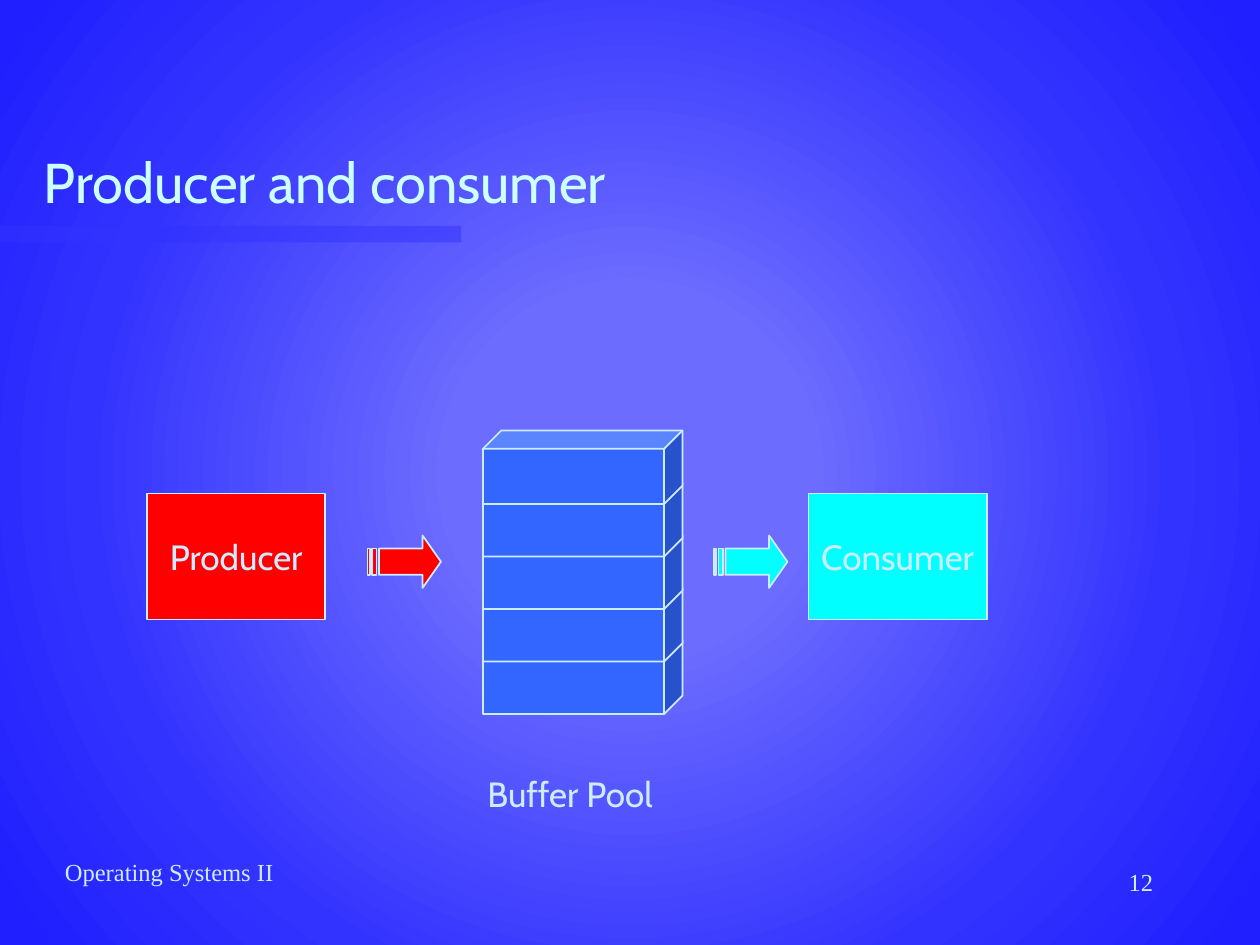
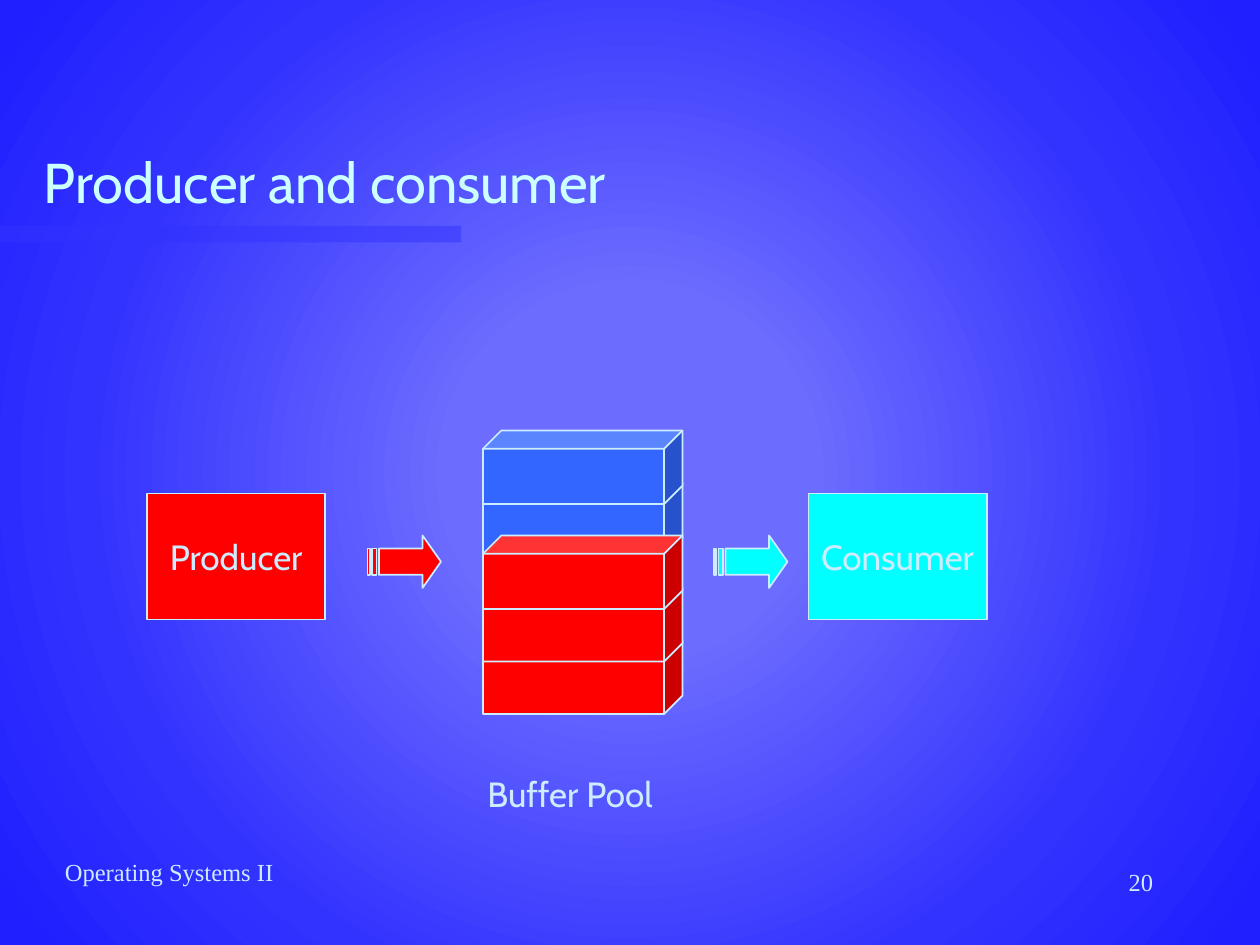
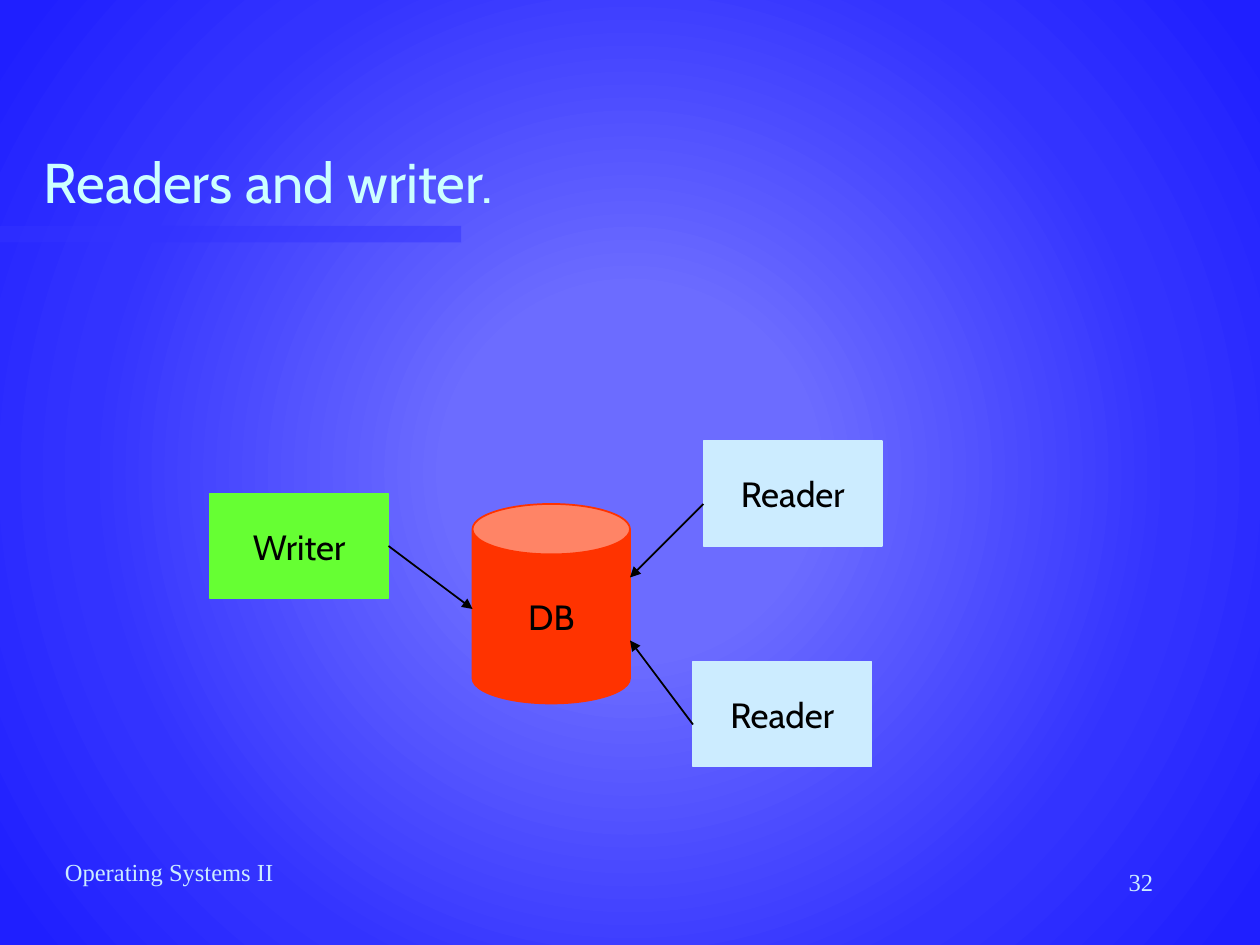
"""Build three operating-systems slides on producers, consumers, readers and a writer."""
from dataclasses import dataclass

from pptx import Presentation, oxml
from pptx.dml.color import RGBColor
from pptx.enum import shapes, text
from pptx.oxml import ns
from pptx.util import Pt


@dataclass(frozen=True)
class Theme:
    backdrop: tuple = ((0, "6C6CFF"), (23, "6C6CFF"), (69, "3333FF"), (97, "1F1FFF"), (100, "1F1FFF"))
    band: str = "3333FF"
    title: str = "CCFFFF"
    pale: str = "CCECFF"
    black: str = "000000"
    red: str = "FF0000"
    cyan: str = "00FFFF"
    blue: str = "3366FF"
    green: str = "66FF33"
    orange: str = "FF3300"
    font: str = "Cabin"
    footer_font: str = "Times New Roman"
    title_size: int = 32
    label_size: int = 20
    footer_size: int = 14


T = Theme()
SHAPE = shapes.MSO_SHAPE
ALIGN = text.PP_ALIGN
ANCHOR = text.MSO_ANCHOR

FOOTER = "Operating Systems II"
POOL_SLIDES = [
    {"title": "Producer and consumer", "number": "12", "slots": 5, "filled": 0},
    {"title": "Producer and consumer", "number": "20", "slots": 5, "filled": 3},
]
ENDS = [
    {"label": "Producer", "box": (84, 282, 102, 72), "arrow": (210, 306), "color": T.red},
    {"label": "Consumer", "box": (462, 282, 102, 72), "arrow": (408, 306), "color": T.cyan},
]
POOL_LABEL = "Buffer Pool"
SLOT = {"left": 276, "bottom_top": 366, "step": 30, "width": 114, "height": 42}

DB_SLIDE = {"title": "Readers and writer.", "number": "32"}
DB_NODES = [
    ("DB", SHAPE.CAN, (270, 288, 90, 114), T.orange),
    ("Writer", SHAPE.RECTANGLE, (120, 282, 102, 60), T.green),
    ("Reader", SHAPE.RECTANGLE, (402, 252, 102, 60), T.pale),
    ("Reader", SHAPE.RECTANGLE, (396, 378, 102, 60), T.pale),
]
WRITER = 1
WRITE_ARROW = (222, 312, 270, 348)
READ_ARROWS = [(402, 288, 360, 330), (396, 414, 360, 366)]

ARROW_SIZE = (42, 30)
ARROW_GRID = (32, 4)
ARROW_PARTS = [
    [(24, 0), (24, 1), (5, 1), (5, 3), (24, 3), (24, 4), (32, 2)],
    [(2, 1), (2, 3), (4, 3), (4, 1)],
    [(0, 1), (0, 3), (1, 3), (1, 1)],
]


def rgb(color):
    return RGBColor.from_string(color)


def pts(values):
    return [Pt(v) for v in values]


def set_backdrop(master):
    master.background.fill.gradient()
    old = master.element.find(".//" + ns.qn("a:gradFill"))
    stops = "".join(
        f'<a:gs pos="{pos * 1000}"><a:srgbClr val="{color}"/></a:gs>' for pos, color in T.backdrop
    )
    new = oxml.parse_xml(
        f'<a:gradFill rotWithShape="1" {ns.nsdecls("a")}><a:gsLst>{stops}</a:gsLst><a:path path="circle">'
        '<a:fillToRect l="50000" t="50000" r="50000" b="50000"/></a:path></a:gradFill>'
    )
    old.getparent().replace(old, new)


def write(sp, words, size, color, font=T.font, align=ALIGN.LEFT, anchor=ANCHOR.TOP, wrap=True):
    tf = sp.text_frame
    tf.word_wrap = wrap
    tf.vertical_anchor = anchor
    p = tf.paragraphs[0]
    p.text = words
    p.alignment = align
    p.font.name = font
    p.font.size = Pt(size)
    p.font.color.rgb = rgb(color)


def write_label(sp, words, color):
    write(sp, words, T.label_size, color, align=ALIGN.CENTER, anchor=ANCHOR.MIDDLE, wrap=False)


def paint(sp, fill, line):
    sp.shadow.inherit = False
    sp.fill.solid()
    sp.fill.fore_color.rgb = rgb(fill)
    sp.line.color.rgb = rgb(line)
    sp.line.width = Pt(1)


def add_shape(s, kind, box, fill, line):
    sp = s.shapes.add_shape(kind, *pts(box))
    paint(sp, fill, line)
    return sp


def add_box(s, box):
    return s.shapes.add_textbox(*pts(box))


def new_slide(prs, title, number):
    s = prs.slides.add_slide(prs.slide_layouts[6])
    band = add_shape(s, SHAPE.RECTANGLE, (0, 129, 263.5, 9.5), T.band, T.band)
    band.line.fill.background()
    color = band.fill._xPr.find(".//" + ns.qn("a:srgbClr"))
    color.append(oxml.parse_xml(f'<a:alpha {ns.nsdecls("a")} val="50000"/>'))
    write(add_box(s, (30, 486, 228, 36)), FOOTER, T.footer_size, T.pale, T.footer_font)
    write(add_box(s, (516, 492, 150, 36)), number, T.footer_size, T.pale, T.footer_font, ALIGN.RIGHT)
    write(add_box(s, (18, 36, 612, 90)), title, T.title_size, T.title, anchor=ANCHOR.BOTTOM)
    return s


def add_striped_arrow(s, corner, color):
    scale = tuple(Pt(size) / cells for size, cells in zip(ARROW_SIZE, ARROW_GRID))
    first, *stripes = ARROW_PARTS
    fb = s.shapes.build_freeform(*first[0], scale=scale)
    fb.add_line_segments(first[1:], close=True)
    for stripe in stripes:
        fb.move_to(*stripe[0])
        fb.add_line_segments(stripe[1:], close=True)
    paint(fb.convert_to_shape(*pts(corner)), color, T.pale)


def add_pool(s, slots, filled):
    for color, rows in ((T.blue, range(filled, slots)), (T.red, range(filled))):
        for row in rows:
            top = SLOT["bottom_top"] - row * SLOT["step"]
            add_shape(s, SHAPE.CUBE, (SLOT["left"], top, SLOT["width"], SLOT["height"]), color, T.pale)


def add_arrow(s, ends):
    c = s.shapes.add_connector(shapes.MSO_CONNECTOR.STRAIGHT, *pts(ends))
    c.line.color.rgb = rgb(T.black)
    c.line.width = Pt(1)
    c.line._get_or_add_ln().append(oxml.parse_xml(f'<a:tailEnd {ns.nsdecls("a")} type="triangle"/>'))
    c._element.spPr.append(oxml.parse_xml(f'<a:effectLst {ns.nsdecls("a")}/>'))
    return c


def build_pool_slide(prs, data):
    s = new_slide(prs, data["title"], data["number"])
    for end in ENDS:
        write_label(add_shape(s, SHAPE.RECTANGLE, end["box"], end["color"], T.pale), end["label"], T.pale)
        add_striped_arrow(s, end["arrow"], end["color"])
    add_pool(s, data["slots"], data["filled"])
    write_label(add_box(s, (270, 438, 111.5, 31)), POOL_LABEL, T.pale)


def build_db_slide(prs):
    s = new_slide(prs, **DB_SLIDE)
    nodes = []
    for label, kind, box, color in DB_NODES:
        sp = add_shape(s, kind, box, color, color)
        if kind == SHAPE.CAN:
            sp.adjustments[0] = 0.32
        write_label(sp, label, T.black)
        nodes.append(sp)
    add_arrow(s, WRITE_ARROW).begin_connect(nodes[WRITER], 3)
    for ends in READ_ARROWS:
        add_arrow(s, ends)


def main():
    prs = Presentation()
    prs.slide_width, prs.slide_height = pts((720, 540))
    set_backdrop(prs.slide_master)
    for data in POOL_SLIDES:
        build_pool_slide(prs, data)
    build_db_slide(prs)
    prs.save("out.pptx")


if __name__ == "__main__":
    main()
